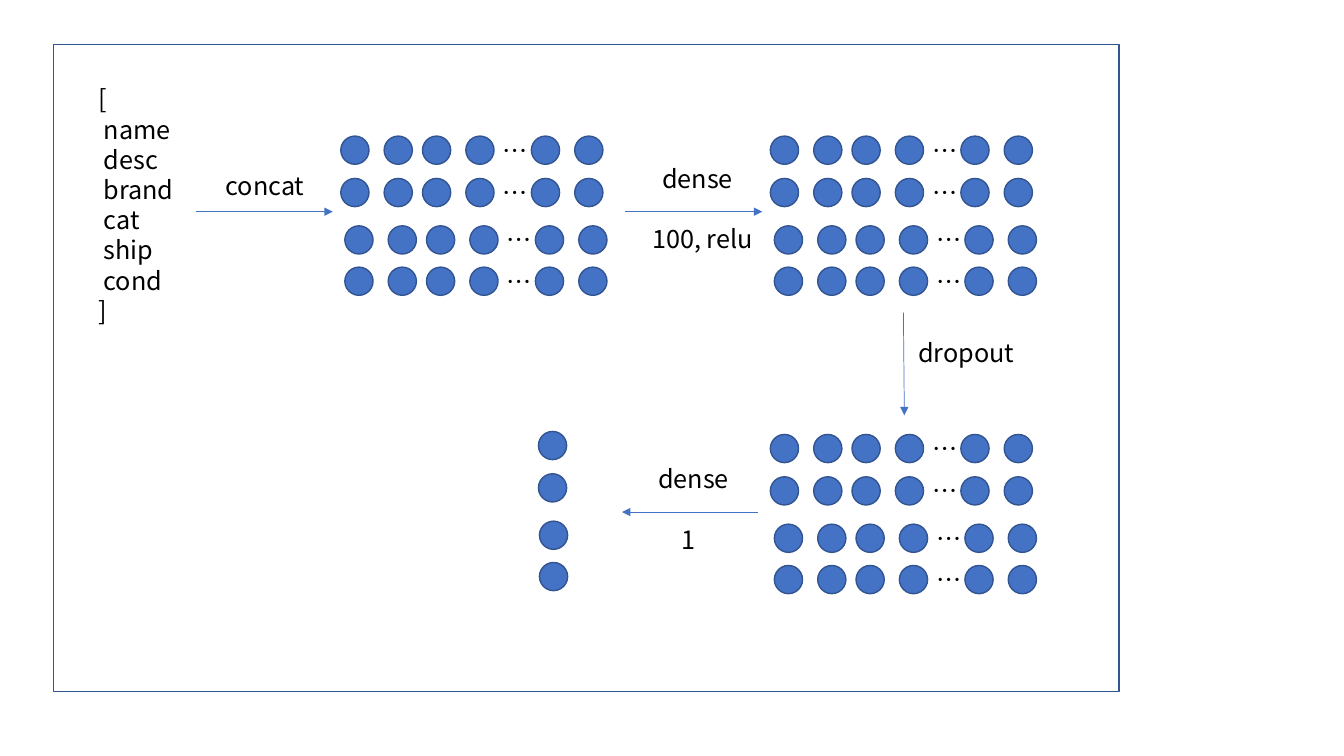
from lxml import etree
from pptx import Presentation
from pptx.dml.color import RGBColor
from pptx.enum.shapes import MSO_CONNECTOR, MSO_SHAPE
from pptx.oxml.ns import qn
from pptx.util import Inches, Pt

RECTANGLE = MSO_SHAPE.RECTANGLE
OVAL = MSO_SHAPE.OVAL
STRAIGHT = MSO_CONNECTOR.STRAIGHT

WHITE = RGBColor(0xFF, 0xFF, 0xFF)
BLACK = RGBColor(0x00, 0x00, 0x00)
BLUE = RGBColor(0x44, 0x72, 0xC4)
DARK_BLUE = RGBColor(0x32, 0x54, 0x91)

FONT_NAME = "Noto Sans CJK SC"
FONT_FORMAT = {"name": FONT_NAME, "size": Pt(18)}
LINE_HEIGHT = Pt(21.6)

NODE_SIZE = 0.28
ROW_OFFSETS = (0, 0.42, 0.89, 1.3)
COLUMN_OFFSETS = (0, 0.43, 0.81, 1.24, 1.89, 2.32)
ELLIPSIS_OFFSET = (1.51, -0.06)

FIELDS = ("name", "desc", "brand", "cat", "ship", "cond")
LAYERS = ((3.38, 1.35), (7.64, 1.35), (7.64, 4.31))
ARROWS = (
    (1.94, 2.1, 3.3, 2.1),
    (6.2, 2.1, 7.56, 2.1),
    (8.96, 3.1, 8.97, 4.12),
    (7.52, 5.08, 6.17, 5.08),
)


def add_filled_shape(slide, kind, box, fill_color):
    shape = slide.shapes.add_shape(kind, *map(Inches, box))
    shape.shadow.inherit = False
    shape.fill.solid()
    shape.fill.fore_color.rgb = fill_color
    shape.line.color.rgb = DARK_BLUE
    shape.line.width = Pt(1)


def add_text(slide, box, lines, wrap=True, gap=0):
    frame = slide.shapes.add_textbox(*map(Inches, box)).text_frame
    frame.word_wrap = wrap
    for index, (text, indent) in enumerate(lines):
        paragraph = frame.add_paragraph() if index else frame.paragraphs[0]
        paragraph.line_spacing = LINE_HEIGHT
        if index and gap:
            paragraph.space_before = gap
        if indent:
            paragraph._p.get_or_add_pPr().set("marL", str(Inches(indent)))
        run = paragraph.add_run()
        run.text = text
        for attribute, value in FONT_FORMAT.items():
            setattr(run.font, attribute, value)
        run.font.color.rgb = BLACK
        east_asian = etree.SubElement(run._r.get_or_add_rPr(), qn("a:ea"))
        east_asian.set("typeface", FONT_NAME)


def add_arrow(slide, ends):
    connector = slide.shapes.add_connector(STRAIGHT, *map(Inches, ends))
    connector.line.color.rgb = BLUE
    connector.line.width = Pt(0.5)
    head = etree.SubElement(connector.line._get_or_add_ln(), qn("a:tailEnd"))
    head.set("type", "triangle")
    etree.SubElement(connector._element.spPr, qn("a:effectLst"))


def add_nodes(slide, left, top, columns, lower_shift, ellipsis=False):
    for row, row_offset in enumerate(ROW_OFFSETS):
        x = left + (lower_shift if row >= 2 else 0)
        y = top + row_offset
        for column in columns:
            add_filled_shape(slide, OVAL, (x + column, y, NODE_SIZE, NODE_SIZE), BLUE)
        if ellipsis:
            dx, dy = ELLIPSIS_OFFSET
            add_text(slide, (x + dx, y + dy, 0.38, 0.4), [("…", 0)], wrap=False)


def main():
    presentation = Presentation()
    presentation.slide_width = Inches(13.33)
    presentation.slide_height = Inches(7.5)
    slide = presentation.slides.add_slide(presentation.slide_layouts[6])

    add_filled_shape(slide, RECTANGLE, (0.53, 0.44, 10.57, 6.42), WHITE)
    field_lines = [("[", 0), *((field, 0.05) for field in FIELDS), ("]", 0)]
    add_text(slide, (0.88, 0.78, 0.98, 2.52), field_lines, wrap=False)

    for left, top in LAYERS:
        add_nodes(slide, left, top, COLUMN_OFFSETS, 0.04, ellipsis=True)
    add_nodes(slide, 5.34, 4.28, (0,), 0.01)

    for ends in ARROWS:
        add_arrow(slide, ends)
    add_text(slide, (2.14, 1.64, 1.44, 0.4), [("concat", 0)])
    add_text(slide, (9.01, 3.3, 1.44, 0.4), [("dropout", 0)])
    add_text(slide, (6.37, 1.57, 1.44, 1.01),
             [("dense", 0.1), ("100, relu", 0)], gap=LINE_HEIGHT)
    add_text(slide, (6.33, 4.55, 1.44, 1.01),
             [("dense", 0.1), ("1", 0.33)], gap=LINE_HEIGHT)

    presentation.save("out.pptx")


if __name__ == "__main__":
    main()
